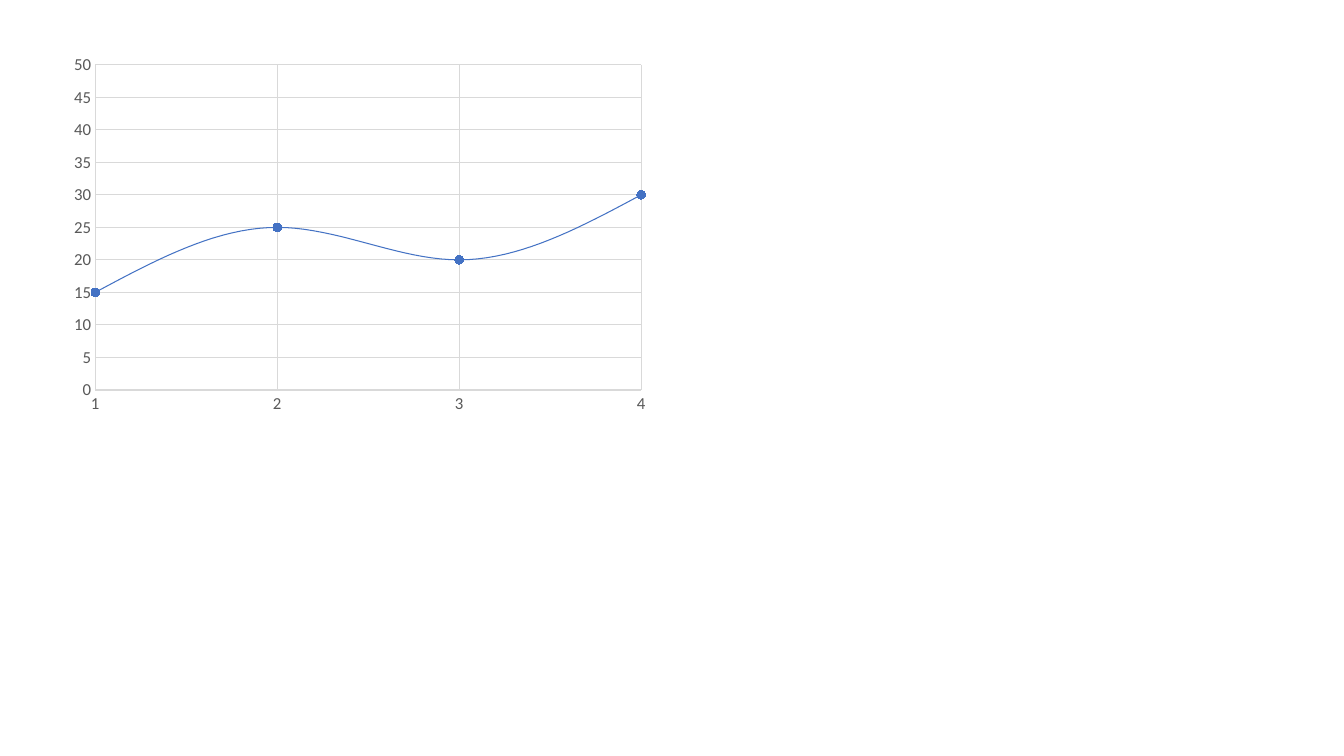
from dataclasses import dataclass
from typing import Optional

from lxml.etree import SubElement
from pptx import Presentation
from pptx.chart.axis import ValueAxis
from pptx.chart.chart import Chart
from pptx.chart.data import XyChartData
from pptx.dml.color import RGBColor
from pptx.dml.line import LineFormat
from pptx.enum.chart import XL_CHART_TYPE, XL_MARKER_STYLE, XL_TICK_MARK
from pptx.oxml.ns import qn
from pptx.util import Inches, Pt

COLUMNS, ROWS = 43, 16
GRAY, TEXT_GRAY, BLUE, MARKER_BLUE = "D9D9D9", "595959", "4472C4", "3E70CA"
PLOT_SHARES = {"x": 0.055, "y": 0.047, "w": 0.918, "h": 0.869}
POINTS = [(1, 15), (2, 25), (3, 20), (4, 30)]


@dataclass
class AxisStyle:
    minimum: float
    maximum: float
    step: float
    line_color: Optional[str]


HORIZONTAL = AxisStyle(1, 4, 1, GRAY)
VERTICAL = AxisStyle(0, 50, 5, None)


def color(value: str) -> RGBColor:
    return RGBColor.from_string(value)


def draw_line(line: LineFormat, value: Optional[str], width: float = 0.75) -> None:
    if value is None:
        line.fill.background()
        return
    line.color.rgb = color(value)
    line.width = Pt(width)


def style_axis(axis: ValueAxis, style: AxisStyle) -> None:
    axis.minimum_scale, axis.maximum_scale = style.minimum, style.maximum
    axis.major_unit = style.step
    axis.major_tick_mark = axis.minor_tick_mark = XL_TICK_MARK.NONE
    axis.has_major_gridlines = True
    draw_line(axis.major_gridlines.format.line, GRAY)
    draw_line(axis.format.line, style.line_color, 1)
    labels = axis.tick_labels
    labels.number_format, labels.number_format_is_linked = "#,##0", False
    labels.font.name, labels.font.size = "Calibri", Pt(12)
    labels.font.color.rgb = color(TEXT_GRAY)


def place_plot(chart: Chart) -> None:
    plot_area = chart.element.find(".//" + qn("c:plotArea"))
    for automatic in plot_area.findall(qn("c:layout")):
        plot_area.remove(automatic)
    layout = SubElement(plot_area, qn("c:layout"))
    plot_area.insert(0, layout)
    manual = SubElement(layout, qn("c:manualLayout"))
    settings = {"layoutTarget": "inner", "xMode": "edge", "yMode": "edge", **PLOT_SHARES}
    for tag, value in settings.items():
        SubElement(manual, qn(f"c:{tag}")).set("val", str(value))


def style_curve(chart: Chart) -> None:
    plot = chart.plots[0]
    plot.vary_by_categories = False
    curve = plot.series[0]
    draw_line(curve.format.line, BLUE)
    series = chart.element.find(".//" + qn("c:ser"))
    smooth = series.find(qn("c:smooth"))
    if smooth is None:
        smooth = SubElement(series, qn("c:smooth"))
    smooth.set("val", "1")
    marker = curve.marker
    marker.style, marker.size = XL_MARKER_STYLE.CIRCLE, 6
    marker.format.fill.solid()
    marker.format.fill.fore_color.rgb = color(MARKER_BLUE)
    draw_line(marker.format.line, MARKER_BLUE)


def main() -> None:
    presentation = Presentation()
    presentation.slide_width, presentation.slide_height = Inches(13.33), Inches(7.5)
    column = presentation.slide_width / COLUMNS
    row = presentation.slide_height / ROWS
    slide = presentation.slides.add_slide(presentation.slide_layouts[6])
    data = XyChartData()
    points = data.add_series("Series 1")
    for x, y in POINTS:
        points.add_data_point(x, y)
    chart = slide.shapes.add_chart(
        XL_CHART_TYPE.XY_SCATTER_SMOOTH,
        int(2 * column), int(row), int(19.03 * column), int(7.92 * row), data,
    ).chart
    chart.has_legend = chart.has_title = False
    chart.font.name, chart.font.size = "Calibri", Pt(10)
    style_axis(chart.category_axis, HORIZONTAL)
    style_axis(chart.value_axis, VERTICAL)
    style_curve(chart)
    place_plot(chart)
    presentation.save("out.pptx")


if __name__ == "__main__":
    main()
